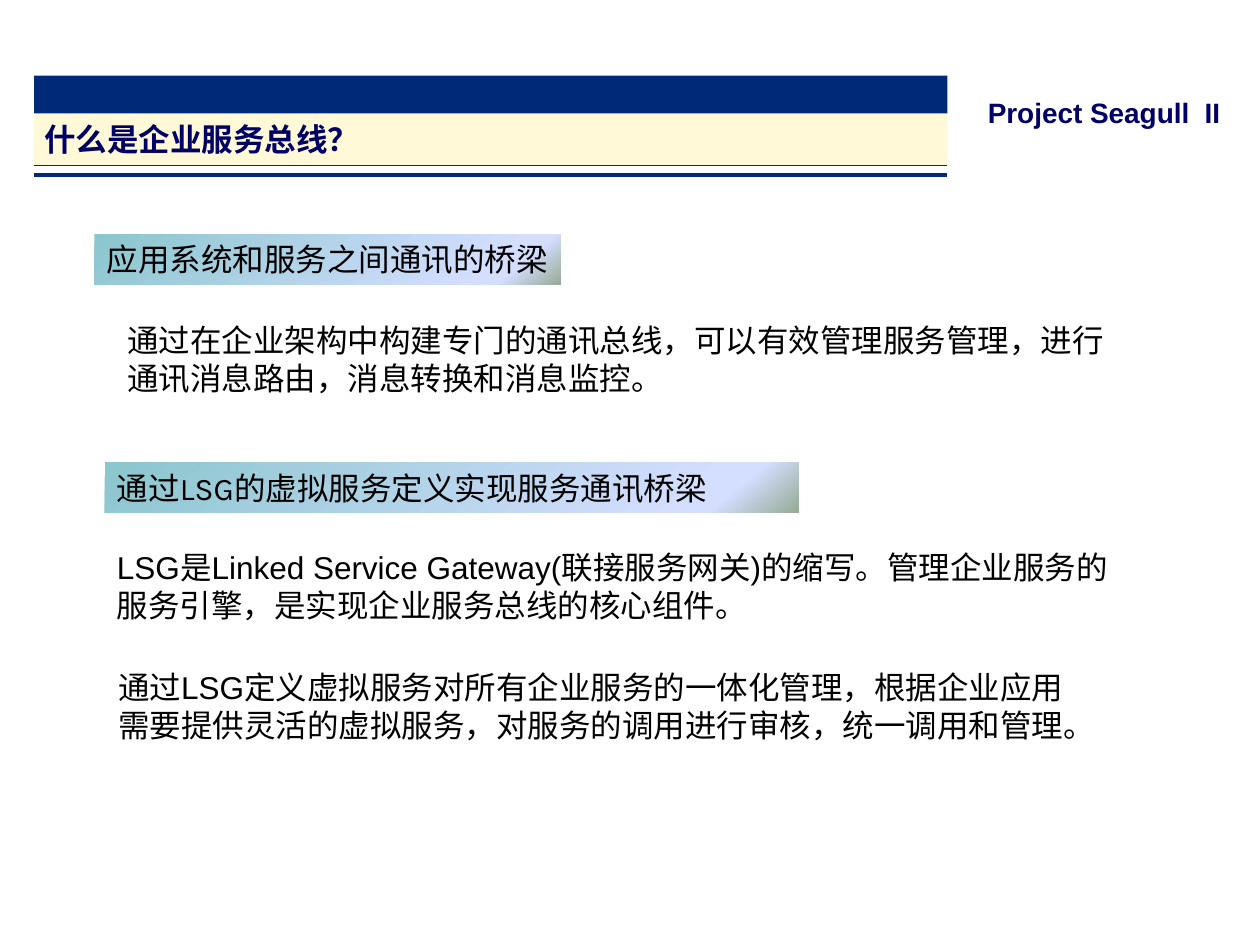
from dataclasses import dataclass

from lxml.etree import SubElement
from pptx import Presentation
from pptx.dml.color import RGBColor
from pptx.enum.shapes import MSO_CONNECTOR, MSO_SHAPE
from pptx.enum.text import MSO_ANCHOR, PP_ALIGN
from pptx.oxml.ns import qn
from pptx.util import Inches, Pt

COLORS = {
    "navy": "002978",
    "cream": "FFF9D7",
    "heading": "000066",
    "text": "000000",
    "teal": "8AC6CD",
    "lavender": "D4DEFF",
    "sage": "96AB94",
}
GRADIENT_STOPS = [(0, "teal"), (83, "lavender"), (88, "lavender"), (100, "sage")]
BAND_LEFT, BAND_WIDTH = 0.27, 7.25
PADDING = (0.1, 0.05, 0.1, 0.05)


@dataclass
class Box:
    left: float
    top: float
    width: float
    height: float
    text: str = ""

    def place(self) -> tuple:
        return tuple(Inches(v) for v in (self.left, self.top, self.width, self.height))


@dataclass
class Rule:
    top: float
    weight: float


BANNERS = [
    Box(0.75, 1.86, 3.7, 0.4, "应用系统和服务之间通讯的桥梁"),
    Box(0.83, 3.67, 5.51, 0.4, "通过LSG的虚拟服务定义实现服务通讯桥梁"),
]
PASSAGES = [
    Box(0.91, 2.5, 7.95, 0.71,
        "通过在企业架构中构建专门的通讯总线，可以有效管理服务管理，进行通讯消息路由，消息转换和消息监控。"),
    Box(0.83, 4.3, 8.11, 0.71,
        "LSG是Linked Service Gateway(联接服务网关)的缩写。管理企业服务的服务引擎，是实现企业服务总线的核心组件。"),
    Box(0.84, 5.25, 7.84, 0.71,
        "通过LSG定义虚拟服务对所有企业服务的一体化管理，根据企业应用需要提供灵活的虚拟服务，"
        "对服务的调用进行审核，统一调用和管理。"),
]
RULES = [Rule(1.31, 0.25), Rule(1.39, 2)]


def color(name: str) -> RGBColor:
    return RGBColor.from_string(COLORS[name])


def write(shape, text: str, font_color: str = "text", padding: tuple = PADDING,
          wrap: bool = True, anchor=MSO_ANCHOR.TOP, **font_format) -> None:
    frame = shape.text_frame
    frame_format = {
        "word_wrap": wrap,
        "vertical_anchor": anchor,
        **{f"margin_{side}": Inches(value)
           for side, value in zip(("left", "top", "right", "bottom"), padding)},
    }
    for name, value in frame_format.items():
        setattr(frame, name, value)
    paragraph = frame.paragraphs[0]
    paragraph.alignment = PP_ALIGN.LEFT
    run = paragraph.add_run()
    run.text = text
    for name, value in {"name": "Arial", "size": Pt(18), **font_format}.items():
        setattr(run.font, name, value)
    run.font.color.rgb = color(font_color)


def add_rectangle(slide, box: Box):
    shape = slide.shapes.add_shape(MSO_SHAPE.RECTANGLE, *box.place())
    shape.shadow.inherit = False
    shape.line.fill.background()
    return shape


def add_banner(slide, box: Box) -> None:
    shape = add_rectangle(slide, box)
    shape.fill.gradient()
    shape.fill.gradient_angle = 310
    stops = shape._element.spPr.find(qn("a:gradFill")).find(qn("a:gsLst"))
    for stop in list(stops):
        stops.remove(stop)
    for position, name in GRADIENT_STOPS:
        stop = SubElement(stops, qn("a:gs"), pos=str(position * 1000))
        SubElement(stop, qn("a:srgbClr"), val=COLORS[name])
    write(shape, box.text, name="Karla")


def add_passage(slide, box: Box) -> None:
    write(slide.shapes.add_textbox(*box.place()), box.text)


def add_rule(slide, rule: Rule) -> None:
    line = slide.shapes.add_connector(
        MSO_CONNECTOR.STRAIGHT, Inches(BAND_LEFT), Inches(rule.top),
        Inches(BAND_LEFT + BAND_WIDTH), Inches(rule.top))
    line.line.color.rgb = color("navy")
    line.line.width = Pt(rule.weight)
    SubElement(line._element.spPr, qn("a:effectLst"))


def add_title(slide, box: Box) -> None:
    title = slide.shapes.title
    title.left, title.top, title.width, title.height = box.place()
    title.fill.solid()
    title.fill.fore_color.rgb = color("cream")
    write(title, box.text, "heading", (0.08, 0, 0, 0), wrap=False,
          anchor=MSO_ANCHOR.MIDDLE, bold=True)


def main() -> None:
    presentation = Presentation()
    presentation.slide_width, presentation.slide_height = Inches(10), Inches(7.5)
    slide = presentation.slides.add_slide(presentation.slide_layouts[5])

    # Header: project name, navy band, title and rules
    project = Box(7.84, 0.76, 1.97, 0.31, "Project Seagull  II")
    write(slide.shapes.add_textbox(*project.place()), project.text, "heading",
          (0, 0, 0, 0), wrap=False, size=Pt(16), bold=True)
    band = add_rectangle(slide, Box(BAND_LEFT, 0.6, BAND_WIDTH, 0.3))
    band.fill.solid()
    band.fill.fore_color.rgb = color("navy")
    add_title(slide, Box(BAND_LEFT, 0.9, BAND_WIDTH, 0.41, "什么是企业服务总线？"))
    for rule in RULES:
        add_rule(slide, rule)

    # Section banners and their explanations
    for banner in BANNERS:
        add_banner(slide, banner)
    for passage in PASSAGES:
        add_passage(slide, passage)

    presentation.save("out.pptx")


if __name__ == "__main__":
    main()
